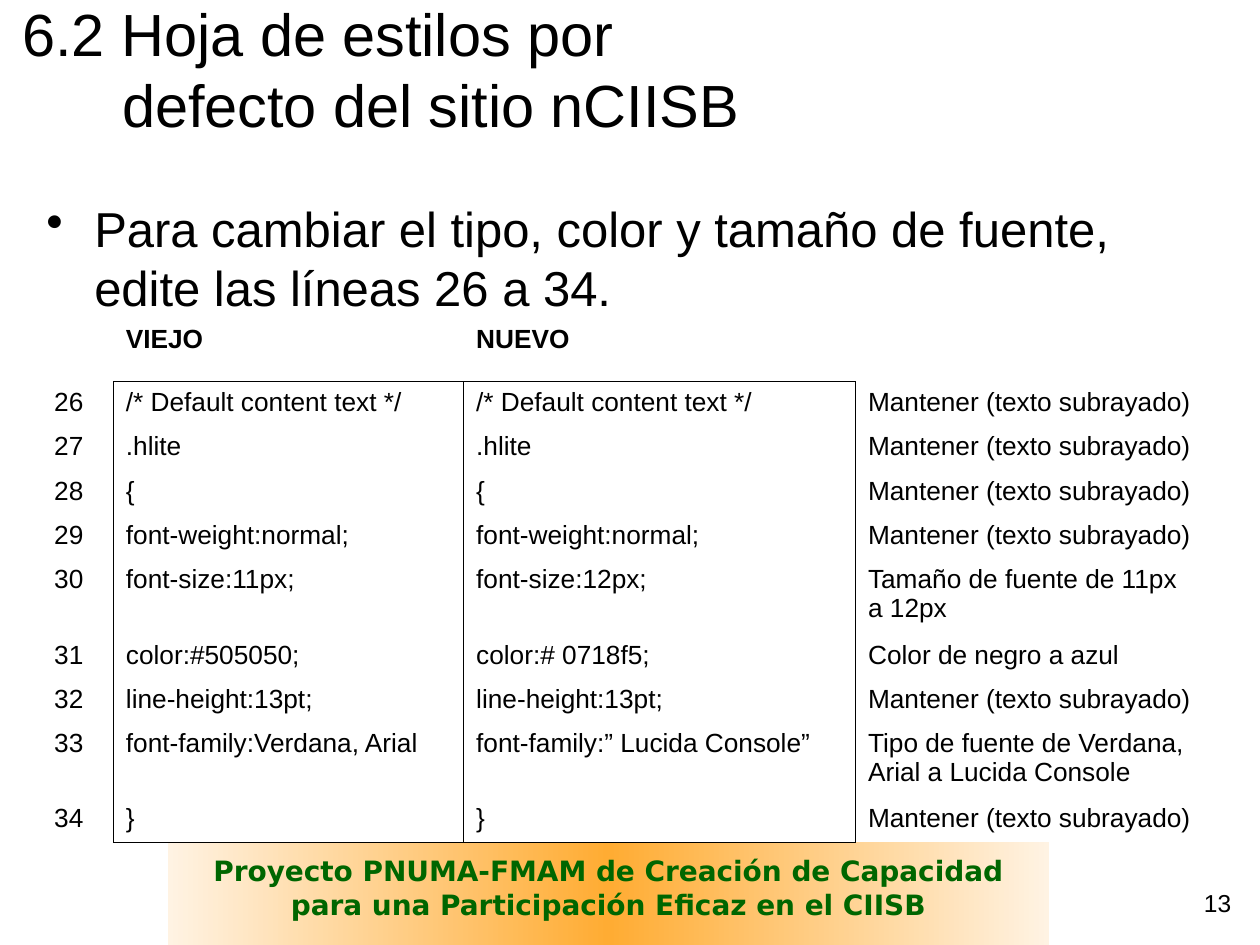
"""Build the slide on the default style sheet of the nCIISB site."""
from itertools import product
from pptx import Presentation
from pptx.dml.color import RGBColor
from pptx.enum.shapes import MSO_SHAPE
from pptx.enum.text import MSO_ANCHOR, PP_ALIGN
from pptx.oxml import parse_xml
from pptx.oxml.ns import nsdecls
from pptx.util import Inches, Pt

TITLE = "6.2 Hoja de estilos por\vdefecto del sitio nCIISB"
POINT = "Para cambiar el tipo, color y tamaño de fuente, edite las líneas 26 a 34."
BANNER = [
    "Proyecto PNUMA-FMAM de Creación de Capacidad",
    "para una Participación Eficaz en el CIISB",
]
PAGE = "13"
KEEP = "Mantener (texto subrayado)"
ROWS = [
    ("", "VIEJO", "NUEVO", ""),
    ("26", "/* Default content text */", "/* Default content text */", KEEP),
    ("27", ".hlite", ".hlite", KEEP),
    ("28", "{", "{", KEEP),
    ("29", "font-weight:normal;", "font-weight:normal;", KEEP),
    ("30", "font-size:11px;", "font-size:12px;", "Tamaño de fuente de 11px a 12px"),
    ("31", "color:#505050;", "color:# 0718f5;", "Color de negro a azul"),
    ("32", "line-height:13pt;", "line-height:13pt;", KEEP),
    ("33", "font-family:Verdana, Arial", "font-family:” Lucida Console”",
     "Tipo de fuente de Verdana, Arial a Lucida Console"),
    ("34", "}", "}", KEEP),
]
WIDTHS = (0.57, 2.78, 3.11, 2.79)
HEAD, LINE, TALL, WRAP = 0.5, 0.35, 0.6, 28
CODE = (1, 2)
PLACES = {
    "banner": (1.33, 6.58, 7, 0.92),
    "point": (0.27, 1.53, 9.57, 1.04),
    "table": (0.33, 2.53, sum(WIDTHS), 4.15),
    "title": (0.08, 0, 9.42, 1.08),
    "page": (7.79, 7, 2.08, 0.5),
}
THEME = {
    "ink": "000000", "paper": "FFFFFF", "rule": 0.45,
    "glow": ((0, "FFF3E3"), (50, "FFAC33"), (100, "FFF3E3")),
    "title": {"name": "Arial", "size": 34, "color": "000000"},
    "point": {"name": "Arial", "size": 28, "color": "000000"},
    "head": {"name": "Arial", "size": 15, "color": "000000", "bold": True},
    "cell": {"name": "Arial", "size": 15, "color": "000000", "bold": False},
    "page": {"name": "Arial", "size": 14, "color": "000000"},
    "banner": {"name": "DejaVu Sans", "size": 16, "color": "006600", "bold": True},
}


def place(name):
    """Return the position and size of a named part."""
    return [Inches(n) for n in PLACES[name]]


def style(font, look):
    """Apply a dict of format values to a font."""
    for key, value in look.items():
        if key == "color":
            font.color.rgb = RGBColor.from_string(value)
        else:
            setattr(font, key, Pt(value) if key == "size" else value)


def write(frame, lines, look, align=PP_ALIGN.LEFT, hang=0, bullet=None):
    """Fill a text frame with styled paragraphs."""
    frame.word_wrap = True
    frame.text = "\n".join(lines)
    for para in frame.paragraphs:
        para.alignment = align
        props = para._p.get_or_add_pPr()
        if hang:
            props.set("marL", str(Inches(hang)))
            props.set("indent", str(-Inches(hang)))
        if bullet:
            props.append(parse_xml(f'<a:buChar {nsdecls("a")} char="{bullet}"/>'))
        style(para.font, look)
        for run in para.runs:
            style(run.font, look)


def add_text(slide, name, line, anchor=MSO_ANCHOR.TOP, **form):
    """Add a text box in its named place."""
    frame = slide.shapes.add_textbox(*place(name)).text_frame
    frame.vertical_anchor = anchor
    write(frame, [line], THEME[name], **form)


def add_banner(slide):
    """Add the glowing footer band."""
    band = slide.shapes.add_shape(MSO_SHAPE.RECTANGLE, *place("banner"))
    band.shadow.inherit = False
    band.line.fill.background()
    stops = "".join(f'<a:gs pos="{at * 1000}"><a:srgbClr val="{tone}"/></a:gs>'
                    for at, tone in THEME["glow"])
    fill = parse_xml(f'<a:gradFill {nsdecls("a")} rotWithShape="1"><a:gsLst>{stops}'
                     '</a:gsLst><a:lin ang="10800000" scaled="0"/></a:gradFill>')
    band._element.spPr.find("{*}prstGeom").addnext(fill)
    frame = band.text_frame
    for side, size in {"left": 0, "top": 0.01, "right": 0, "bottom": 0.01}.items():
        setattr(frame, f"margin_{side}", Inches(size))
    frame.vertical_anchor = MSO_ANCHOR.MIDDLE
    write(frame, BANNER, THEME["banner"], PP_ALIGN.CENTER)


def edges(row, col):
    """Name the sides of a cell that carry a rule."""
    last = len(ROWS) - 1
    tests = {
        "L": row > 0 and (col in CODE or col - 1 in CODE),
        "R": row > 0 and (col in CODE or col + 1 in CODE),
        "T": row == 1 and col in CODE,
        "B": row in (0, last) and col in CODE,
    }
    return tests.items()


def rule(side, shown):
    """Return the border element for one side of a cell."""
    ink = f'<a:solidFill><a:srgbClr val="{THEME["ink"]}"/></a:solidFill>'
    return parse_xml(f'<a:ln{side} {nsdecls("a")} w="{Pt(THEME["rule"])}">'
                     f'{ink if shown else "<a:noFill/>"}</a:ln{side}>')


def add_grid(slide):
    """Add the table that compares old and new lines."""
    table = slide.shapes.add_table(len(ROWS), len(WIDTHS), *place("table")).table
    table.first_row = table.horz_banding = False
    for col, width in zip(table.columns, WIDTHS):
        col.width = Inches(width)
    for at, (row, texts) in enumerate(zip(table.rows, ROWS)):
        tall = TALL if len(texts[-1]) > WRAP else LINE
        row.height = Inches(tall if at else HEAD)
    for row, col in product(range(len(ROWS)), range(len(WIDTHS))):
        cell = table.cell(row, col)
        write(cell.text_frame, [ROWS[row][col]], THEME["cell" if row else "head"])
        props = cell._tc.get_or_add_tcPr()
        for side, shown in edges(row, col):
            props.append(rule(side, shown))
        cell.fill.solid()
        cell.fill.fore_color.rgb = RGBColor.from_string(THEME["paper"])


def main():
    """Compose and save the slide."""
    deck = Presentation()
    deck.slide_width, deck.slide_height = Inches(10), Inches(7.5)
    slide = deck.slides.add_slide(deck.slide_layouts[6])
    add_banner(slide)
    add_text(slide, "point", POINT, hang=0.38, bullet="•")
    add_grid(slide)
    add_text(slide, "title", TITLE, anchor=MSO_ANCHOR.MIDDLE, hang=0.79)
    add_text(slide, "page", PAGE, align=PP_ALIGN.RIGHT)
    deck.save("out.pptx")


if __name__ == "__main__":
    main()
